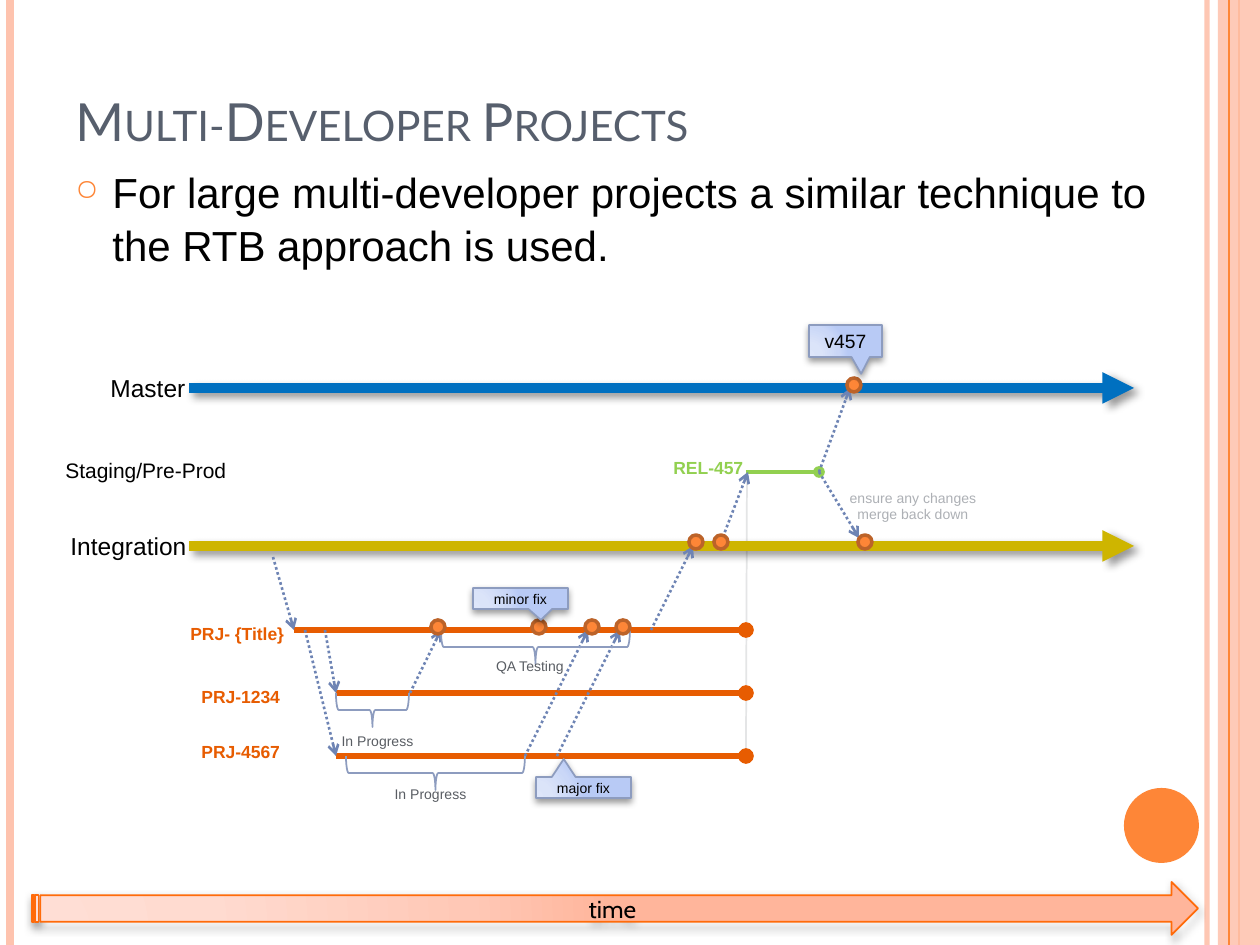
from pptx import Presentation
from pptx.dml.color import RGBColor
from pptx.enum.dml import MSO_LINE
from pptx.enum.shapes import MSO_CONNECTOR, MSO_SHAPE
from pptx.enum.text import MSO_ANCHOR, PP_ALIGN
from pptx.oxml import parse_xml
from pptx.oxml.ns import nsdecls, qn
from pptx.util import Emu, Pt

SCALE = 914400 / 126
STRAIGHT = MSO_CONNECTOR.STRAIGHT
DOTS = MSO_LINE.ROUND_DOT
RECT, OVAL, BRACE = MSO_SHAPE.RECTANGLE, MSO_SHAPE.OVAL, MSO_SHAPE.LEFT_BRACE
CALLOUT, ARROW = MSO_SHAPE.RECTANGULAR_CALLOUT, MSO_SHAPE.STRIPED_RIGHT_ARROW
TOP, MIDDLE, BOTTOM = MSO_ANCHOR.TOP, MSO_ANCHOR.MIDDLE, MSO_ANCHOR.BOTTOM
LEFT, CENTER = PP_ALIGN.LEFT, PP_ALIGN.CENTER

COLORS = {
    "black": "000000", "title": "575F6D", "peach": "FEC3AE", "orange": "FE8637",
    "rim": "BC6329", "grey": "E4E5E6", "master": "0070C0", "integ": "CEB500",
    "project": "E75C01", "release": "92D050", "merge": "6E84B4",
    "brace": "8D9CBF", "time": "FF6B0A", "note": "595D63", "faint": "ADB0B5",
}
BLUES = ((0, "DEE6FA"), (30, "DBE4F9"), (75, "CAD7F7"), (100, "B8CAF5"))
PEACHES = ((0, "FFDED5"), (30, "FFDBD0"), (75, "FFC8B6"), (100, "FFB59B"))

# x, colour, width in points, opacity in percent
STRIPES = [(1207, "peach", 3, 93), (10, "peach", 4.5, 100), (1239, "orange", 1.5, 100)]
EDGE = (1229, "orange", 0.75, 100)

# x1, x2, y, colour, width, end, shadow
BRANCHES = [
    (189, 1134, 388, "master", 6, "triangle", True),
    (189, 1134, 546, "integ", 6, "triangle", True),
    (294, 746, 630, "project", 3, "oval", False),
    (336, 746, 693, "project", 3, "oval", False),
    (336, 746, 756, "project", 3, "oval", False),
    (746, 819, 472, "release", 2.25, "oval", False),
]
MERGES = [
    (651, 630, 693, 546), (273, 557, 294, 630), (819, 472, 850, 388),
    (325, 630, 336, 693), (410, 693, 441, 630), (721, 542, 748, 472),
    (819, 472, 859, 538), (305, 630, 336, 756), (525, 756, 588, 630),
    (557, 756, 620, 630),
]
COMMITS = {385: [854], 542: [696, 721, 865], 627: [438, 539, 592, 623]}
# x, y, length
BRACES = [(336, 693, 73), (441, 630, 189), (346, 756, 179)]

# box, words, size, colour, bold
LABELS = [
    ((98, 367, 101, 43), "Master", 14, "black", False),
    ((58, 525, 142, 43), "Integration", 14, "black", False),
    ((53, 451, 188, 38), "Staging/Pre-Prod", 12, "black", False),
    ((178, 617, 121, 34), "PRJ- {Title}", 10, "project", True),
    ((189, 680, 105, 34), "PRJ-1234", 10, "project", True),
    ((189, 735, 105, 34), "PRJ-4567", 10, "project", True),
    ((661, 451, 96, 34), "REL-457", 10, "release", True),
]
NOTES = [
    ((472, 651, 116, 30), "QA Testing", "note"),
    ((325, 726, 105, 30), "In Progress", "note"),
    ((378, 779, 105, 30), "In Progress", "note"),
    ((829, 483, 168, 47), "ensure any changes merge back down", "faint"),
]
# kind, box, adjustments, gradient, outline, words, size, font
BANNERS = [
    (CALLOUT, (809, 325, 73, 32), (0.215, 1.027), BLUES, "brace", "v457", 11, "Arial"),
    (CALLOUT, (473, 588, 95, 21), (0.215, 1.027), BLUES, "brace", "minor fix", 8, "Arial"),
    (CALLOUT, (536, 777, 95, 21), (-0.208, -1.354), BLUES, "brace", "major fix", 8, "Arial"),
    (ARROW, (32, 882, 1166, 53), (), PEACHES, "time", "time", 14, "Cabin"),
]
BODY = "For large multi-developer projects a similar technique to the RTB approach is used."


def px(*vals):
    return [Emu(round(v * SCALE)) for v in vals]


def rgb(name):
    return RGBColor.from_string(COLORS[name])


def xml(tag, attrs="", inner=""):
    return parse_xml(f"<a:{tag} {nsdecls('a')} {attrs}>{inner}</a:{tag}>")


def fade(obj, pct):
    """Give every colour of the object an opacity in percent."""
    if pct < 100:
        for tint in list(obj._element.spPr.iter(qn("a:srgbClr"))):
            tint.append(xml("alpha", f'val="{pct * 1000}"'))


def shade(obj, dist=0, angle=0):
    """Replace the theme shadow by a soft one, or by none when dist is 0."""
    soft = (f'<a:outerShdw blurRad="{Pt(4)}" dist="{Pt(dist)}" dir="{angle * 60000}" '
            'rotWithShape="0"><a:srgbClr val="000000"><a:alpha val="40000"/>'
            '</a:srgbClr></a:outerShdw>')
    obj._element.spPr.append(xml("effectLst", "", soft if dist else ""))


def blend(obj, stops):
    obj.fill.background()
    marks = "".join(f'<a:gs pos="{pos * 1000}"><a:srgbClr val="{tint}"/></a:gs>'
                    for pos, tint in stops)
    ring = ('<a:path path="circle">'
            '<a:fillToRect l="5000" t="100000" r="120000" b="10000"/></a:path>')
    props = obj._element.spPr
    props.replace(props.find(qn("a:noFill")),
                  xml("gradFill", 'rotWithShape="1"', f"<a:gsLst>{marks}</a:gsLst>{ring}"))


def line(ends, color, width, tip=None, dash=None, shadow=False):
    obj = slide.shapes.add_connector(STRAIGHT, *px(*ends))
    obj.line.color.rgb = rgb(color)
    obj.line.width = Pt(width)
    if dash:
        obj.line.dash_style = dash
    if tip:
        obj.line._get_or_add_ln().append(xml("tailEnd", f'type="{tip}"'))
    shade(obj, 3 if shadow else 0, 45)
    return obj


def shape(kind, box, fill=None, edge=None, width=1):
    obj = slide.shapes.add_shape(kind, *px(*box))
    if fill:
        obj.fill.solid()
        obj.fill.fore_color.rgb = rgb(fill)
    else:
        obj.fill.background()
    if edge:
        obj.line.color.rgb = rgb(edge)
        obj.line.width = Pt(width)
    else:
        obj.line.fill.background()
    return obj


def write(obj, words, size, color, font="Arial", bold=False, align=LEFT,
          anchor=TOP, wrap=True):
    frame = obj.text_frame
    frame.word_wrap = wrap
    frame.vertical_anchor = anchor
    para = frame.paragraphs[0]
    para.alignment = align
    run = para.add_run()
    run.text = words
    look = {"size": Pt(size), "name": font, "bold": bold}
    for key, val in look.items():
        setattr(run.font, key, val)
    run.font.color.rgb = rgb(color)
    return para


def text(box, *args, **form):
    return write(slide.shapes.add_textbox(*px(*box)), *args, **form)


deck = Presentation()
deck.slide_width, deck.slide_height = px(1260, 945)
slide = deck.slides.add_slide(deck.slide_layouts[6])


def stripe(x, color, width, pct):
    fade(line((x, 0, x, 945), color, width), pct)


for item in STRIPES:
    stripe(*item)
band = shape(RECT, (1218, 0, 42, 945), "peach")
fade(band, 87)
shade(band)
stripe(*EDGE)
shade(shape(OVAL, (1124, 788, 75, 75), "orange"))

title = text((63, 38, 1029, 120), "Multi-Developer Projects", 30, "title",
             "Lato", anchor=BOTTOM)
title.runs[0].font._element.set("cap", "small")

body = text((63, 158, 1113, 126), BODY, 24, "black")
body.space_before = Pt(6)
body.line_spacing = 1.05
props = body._p.get_or_add_pPr()
indent = px(37)[0]
props.set("marL", str(indent))
props.set("indent", str(-indent))
props.append(xml("buClr", "", f'<a:srgbClr val="{COLORS["orange"]}"/>'))
props.append(xml("buSzPct", 'val="70000"'))
props.append(xml("buChar", 'char="○"'))

line((747, 472, 746, 756), "grey", 1)
for x1, x2, y, color, width, tip, shadow in BRANCHES:
    line((x1, y, x2, y), color, width, tip, shadow=shadow)
for ends in MERGES:
    line(ends, "merge", 1.5, "arrow", DOTS)

DEPTH = 34
for x, y, span in BRACES:
    box = (x + (span - DEPTH) / 2, y - (span - DEPTH) / 2, DEPTH, span)
    brace = shape(BRACE, box, edge="brace")
    brace.rotation = 270
    shade(brace)

for y, marks in COMMITS.items():
    for x in marks:
        shade(shape(OVAL, (x - 7, y - 7, 14, 14), "orange", "rim", 2))

for box, words, size, color, bold in LABELS:
    text(box, words, size, color, bold=bold, wrap=False)
for box, words, color in NOTES:
    text(box, words, 8, color, align=CENTER)

for kind, box, bends, stops, edge, words, size, font in BANNERS:
    banner = shape(kind, box, edge=edge)
    for i, bend in enumerate(bends):
        banner.adjustments[i] = bend
    blend(banner, stops)
    shade(banner, 2, 90)
    write(banner, words, size, "black", font, align=CENTER, anchor=MIDDLE)

deck.save("out.pptx")
